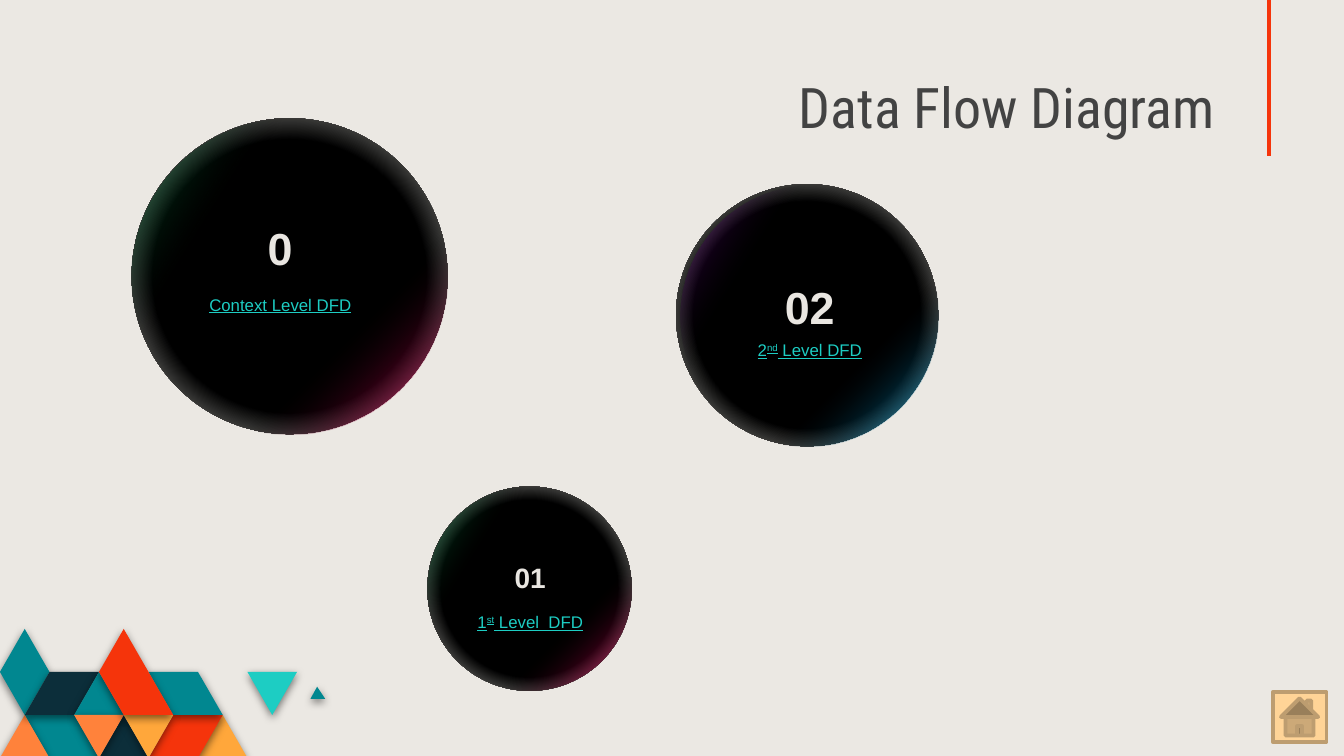
from lxml import etree
from pptx import Presentation
from pptx.dml.color import RGBColor
from pptx.enum.shapes import MSO_CONNECTOR, MSO_SHAPE
from pptx.enum.text import MSO_ANCHOR, PP_ALIGN
from pptx.oxml import parse_xml
from pptx.oxml.ns import nsdecls, qn
from pptx.util import Inches, Pt

COLORS = {
    "background": "EBE8E3", "cream": "E9E6E1", "black": "000000",
    "title": "434343", "red": "F5340B", "teal": "018790", "navy": "0C2E3A",
    "orange": "FF823B", "amber": "FFA73B", "turquoise": "1DCDC3",
    "pink": "FF0066", "green": "00CC66", "blue": "00B0F0", "purple": "9900CC",
    "button": "FFD497", "button_edge": "BD9D70",
}

GRID_TOP = 4.68
GRID_COLUMN = 2.21 / 12
GRID_ROW = 0.32
MOSAIC = [
    ("amber", [(10, 3), (9, 2), (8, 3)]),
    ("red", [(9, 2), (7, 2), (6, 3), (8, 3)]),
    ("teal", [(3, 2), (1, 2), (2, 3), (4, 3)]),
    ("orange", [(2, 3), (1, 2), (0, 3)]),
    ("navy", [(6, 3), (5, 2), (4, 3)]),
    ("teal", [(9, 2), (8, 1), (6, 1), (7, 2)]),
    ("turquoise", [(12, 1), (10, 1), (11, 2)]),
    ("teal", [(2, 1), (1, 0), (0, 1), (1, 2)]),
    ("navy", [(4, 1), (2, 1), (1, 2), (3, 2)]),
    ("teal", [(5, 2), (4, 1), (3, 2)]),
    ("orange", [(5, 2), (3, 2), (4, 3)]),
    ("amber", [(7, 2), (5, 2), (6, 3)]),
    ("red", [(7, 2), (5, 0), (4, 1), (5, 2)]),
]
SMALL_TRIANGLE = [(2.42, 5.2), (2.36, 5.11), (2.31, 5.2)]


def rgb(name):
    return RGBColor.from_string(COLORS[name])


def add_tile(slide, color, points):
    corners = [(Inches(x), Inches(y)) for x, y in points]
    builder = slide.shapes.build_freeform(*corners[0], scale=1.0)
    builder.add_line_segments(corners[1:], close=True)
    shape = builder.convert_to_shape()
    shape.fill.solid()
    shape.fill.fore_color.rgb = rgb(color)
    shape.line.fill.background()
    shape.shadow.inherit = False
    effects = shape._element.spPr.find(qn("a:effectLst"))
    effects.append(parse_xml(
        f'<a:outerShdw {nsdecls("a")} blurRad="{Pt(4.5)}" dist="{Pt(1.5)}" '
        'dir="5400000" algn="bl" rotWithShape="0"><a:srgbClr val="000000">'
        '<a:alpha val="50000"/></a:srgbClr></a:outerShdw>'))


def add_mosaic(slide):
    for color, cells in MOSAIC:
        add_tile(slide, color, [(column * GRID_COLUMN, GRID_TOP + row * GRID_ROW)
                                for column, row in cells])
    add_tile(slide, "teal", SMALL_TRIANGLE)


def add_gradient_circle(slide, left, top, size, start, color, radial=False, rotation=0):
    shape = slide.shapes.add_shape(MSO_SHAPE.OVAL, Inches(left), Inches(top),
                                   Inches(size), Inches(size))
    shape.rotation = rotation
    shape.line.fill.background()
    shape.shadow.inherit = False
    alpha = 100000 if radial else 0
    direction = ('<a:path path="circle"><a:fillToRect l="50000" t="50000" '
                 'r="50000" b="50000"/></a:path>' if radial
                 else '<a:lin ang="2700000" scaled="0"/>')
    shape._element.spPr.insert(2, parse_xml(
        f'<a:gradFill {nsdecls("a")} rotWithShape="1"><a:gsLst>'
        f'<a:gs pos="{start * 1000}"><a:srgbClr val="{COLORS["black"]}">'
        f'<a:alpha val="{alpha}"/></a:srgbClr></a:gs>'
        f'<a:gs pos="100000"><a:srgbClr val="{COLORS[color]}"/></a:gs>'
        f'</a:gsLst>{direction}</a:gradFill>'))


def add_text(slide, left, top, width, height, runs, size, color, font="Arial",
             align=PP_ALIGN.CENTER, bold=False, underline=False):
    box = slide.shapes.add_textbox(Inches(left), Inches(top), Inches(width), Inches(height))
    box.text_frame.word_wrap = True
    paragraph = box.text_frame.paragraphs[0]
    paragraph.alignment = align
    for index, text in enumerate(runs):
        run = paragraph.add_run()
        run.text = text
        run.font.name = font
        run.font.size = Pt(size)
        run.font.bold = bold
        run.font.underline = underline
        run.font.color.rgb = rgb(color)
        if index == 1:
            run._r.get_or_add_rPr().set("baseline", "30000")
    return box


def add_level(slide, circle, glow, second_glow, second_at, number, number_at,
              number_size, label, label_at):
    left, top, size = circle
    number_height = 0.5 if number_size > 20 else 0.35
    add_gradient_circle(slide, left, top, size, 61, "cream", radial=True)
    add_gradient_circle(slide, left, top, size, 67, glow)
    add_gradient_circle(slide, *second_at, size, 67, second_glow, rotation=166.9)
    add_text(slide, *number_at, 0.87, number_height, [number], number_size, "cream", bold=True)
    add_text(slide, *label_at, 1.41, 0.25, label, 9, "turquoise", underline=True)


def add_title(slide, text):
    box = add_text(slide, 5, 0.51, 4.14, 0.63, [text], 30, "title",
                   "Roboto Condensed", PP_ALIGN.RIGHT)
    frame = box.text_frame
    frame.vertical_anchor = MSO_ANCHOR.BOTTOM
    frame.margin_top = frame.margin_bottom = Inches(0.1)
    frame.paragraphs[0].line_spacing = 0.8


def add_accent_line(slide):
    line = slide.shapes.add_connector(MSO_CONNECTOR.STRAIGHT, Inches(9.44), Inches(0),
                                      Inches(9.44), Inches(1.16))
    line.line.color.rgb = rgb("red")
    line.line.width = Pt(2.25)
    etree.SubElement(line._element.spPr, qn("a:effectLst"))


def add_home_button(slide):
    button = slide.shapes.add_shape(MSO_SHAPE.ACTION_BUTTON_HOME, Inches(9.47),
                                    Inches(5.15), Inches(0.4), Inches(0.37))
    button.fill.solid()
    button.fill.fore_color.rgb = rgb("button")
    button.line.color.rgb = rgb("button_edge")
    button.line.width = Pt(2)
    button.shadow.inherit = False


def main():
    presentation = Presentation()
    presentation.slide_width = Inches(10)
    presentation.slide_height = Inches(10 * 9 / 16)
    slide = presentation.slides.add_slide(presentation.slide_layouts[6])
    slide.background.fill.solid()
    slide.background.fill.fore_color.rgb = rgb("background")
    add_accent_line(slide)
    add_mosaic(slide)
    add_level(slide, (0.98, 0.88, 2.35), "pink", "green", (0.98, 0.88),
              "0", (1.65, 1.59), 24, ["Context Level DFD"], (1.38, 2.14))
    add_level(slide, (3.18, 3.62, 1.52), "pink", "green", (3.18, 3.62),
              "01", (3.51, 4.12), 15, ["1", "st", " Level  DFD"], (3.24, 4.5))
    add_level(slide, (5.03, 1.37, 1.95), "blue", "purple", (5.06, 1.38),
              "02", (5.59, 2.03), 24, ["2", "nd", " Level DFD"], (5.32, 2.48))
    add_title(slide, "Data Flow Diagram")
    add_home_button(slide)
    presentation.save("out.pptx")


if __name__ == "__main__":
    main()
